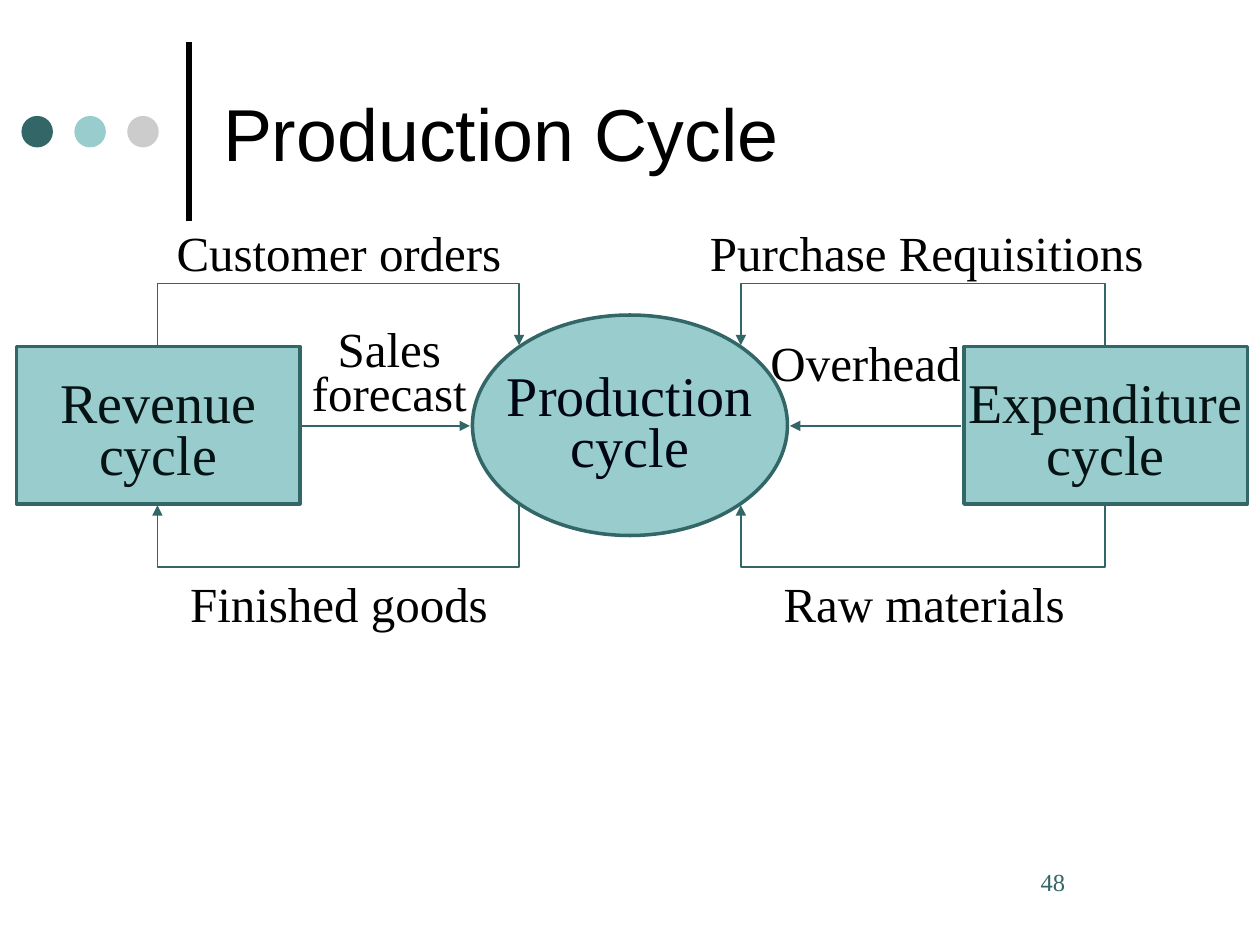
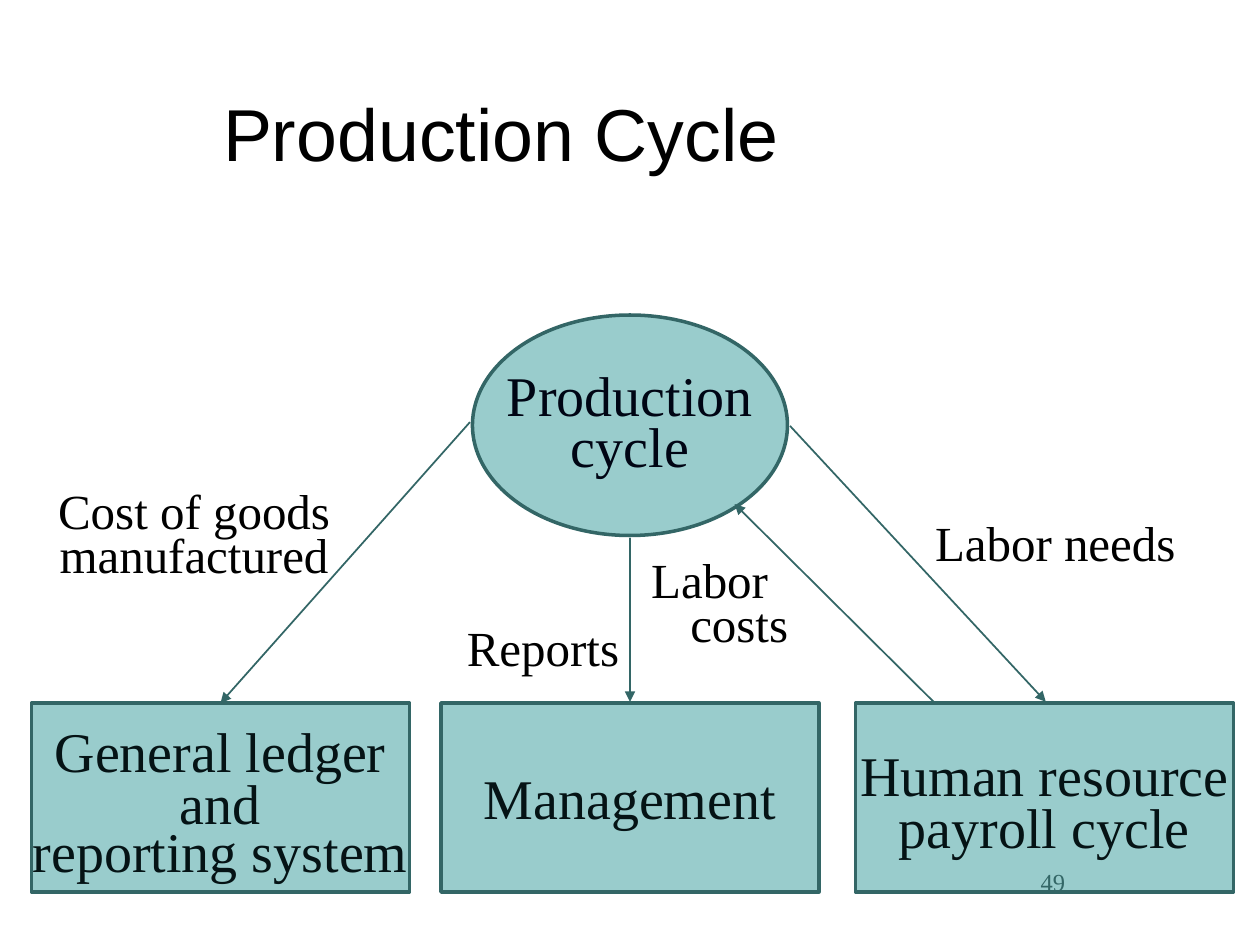
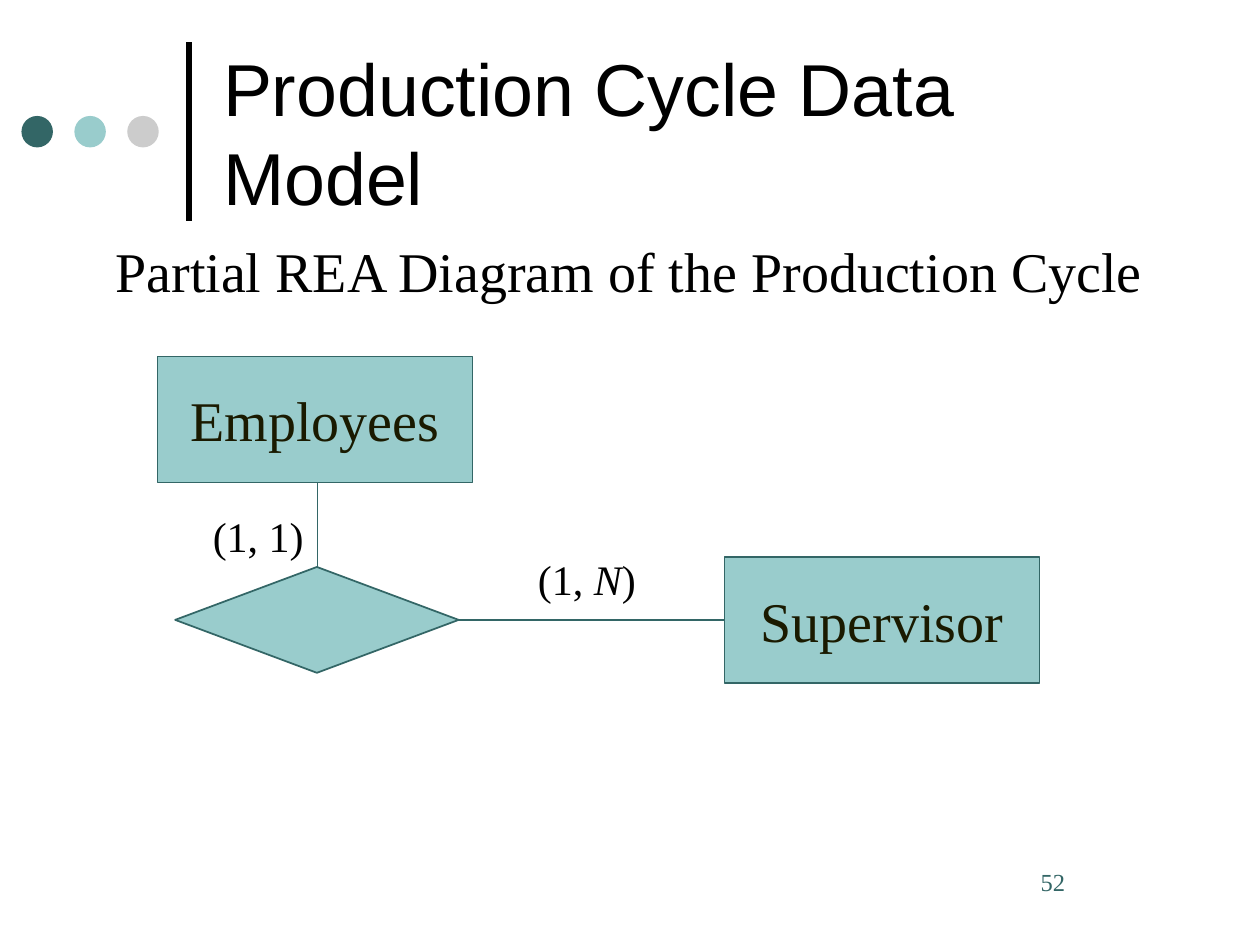
from pptx import Presentation
from pptx.dml.color import RGBColor
from pptx.enum.shapes import MSO_CONNECTOR, MSO_SHAPE
from pptx.enum.text import MSO_ANCHOR, MSO_AUTO_SIZE, PP_ALIGN
from pptx.oxml.ns import qn
from pptx.util import Inches, Pt
from lxml import etree

RECT, OVAL, DIAMOND = MSO_SHAPE.RECTANGLE, MSO_SHAPE.OVAL, MSO_SHAPE.DIAMOND
LEFT, CENTER = PP_ALIGN.LEFT, PP_ALIGN.CENTER
MIDDLE, TOP = MSO_ANCHOR.MIDDLE, MSO_ANCHOR.TOP
FIXED, GROW = MSO_AUTO_SIZE.NONE, MSO_AUTO_SIZE.SHAPE_TO_FIT_TEXT
STRAIGHT = MSO_CONNECTOR.STRAIGHT

TEAL, AQUA, GRAY, BLACK = "336666", "99CCCC", "CCCCCC", "000000"
NODE_INK, HUB_INK, ENTITY_INK = "051315", "000514", "1A1A00"
SERIF, SANS = "Times New Roman", "Arial"
THICK, THIN = 2, 1

HUB = (OVAL, (3.75, 2.5, 2.5, 1.75), THICK, HUB_INK, ["Production", "cycle"])

SLIDES = [
    {
        "title": "Production Cycle", "number": "48", "band": True,
        "nodes": [
            HUB,
            (RECT, (7.65, 2.75, 2.25, 1.25), THICK, NODE_INK, ["Expenditure", "cycle"]),
            (RECT, (0.13, 2.75, 2.25, 1.25), THICK, NODE_INK, ["Revenue", "cycle"]),
        ],
        "labels": [
            ("Sales forecast", (2.09, 2.59, 2, 0.8), 28, {"line_spacing": 0.75}),
            ("Finished goods", (1.15, 4.5, 3.08, 0.56), 28, {}),
            ("Customer orders", (0.94, 1.72, 3.5, 0.56), 28, {}),
            ("Overhead", (5.87, 2.59, 2, 0.56), 28, {}),
            ("Raw materials", (5.92, 4.5, 2.83, 0.56), 28, {}),
            ("Purchase Requisitions", (5.4, 1.72, 3.91, 0.56), 28, {}),
        ],
        "arrows": [
            [(1.25, 2.74), (1.25, 2.25), (4.12, 2.25), (4.12, 2.74)],
            [(8.77, 2.74), (8.77, 2.25), (5.88, 2.25), (5.88, 2.74)],
            [(4.12, 4.01), (4.12, 4.5), (1.25, 4.5), (1.25, 4.01)],
            [(8.77, 4.01), (8.77, 4.5), (5.88, 4.5), (5.88, 4.01)],
            [(2.39, 3.38), (3.73, 3.38)],
            [(7.63, 3.38), (6.27, 3.38)],
        ],
        "links": [],
    },
    {
        "title": "Production Cycle", "number": "49", "band": False,
        "nodes": [
            HUB,
            (RECT, (6.79, 5.58, 3, 1.5), THICK, NODE_INK, ["Human resource", "payroll cycle"]),
            (RECT, (0.25, 5.58, 3, 1.5), THICK, NODE_INK,
             ["General ledger", "and", "reporting system"]),
            (RECT, (3.5, 5.58, 3, 1.5), THICK, NODE_INK, ["Management"]),
        ],
        "labels": [
            ("Reports", (3.48, 4.85, 1.66, 0.56), 28, {}),
            ("Labor needs", (7.17, 4.02, 2.41, 0.56), 28, {}),
            ("Labor\vcosts", (5, 4.42, 1.75, 0.8), 28,
             {"line_spacing": 0.75, "alignment": LEFT, "margin": 0.38, "indent": -0.31}),
            ("Cost of goods manufactured", (0.25, 3.87, 2.58, 0.8), 28, {"line_spacing": 0.75}),
        ],
        "arrows": [
            [(3.73, 3.35), (1.75, 5.58)],
            [(5, 4.27), (5, 5.57)],
            [(6.27, 3.38), (8.3, 5.57)],
            [(7.42, 5.58), (5.83, 4)],
        ],
        "links": [],
    },
    {
        "title": "Production Cycle Data Model", "number": "52", "band": True,
        "nodes": [
            (RECT, (1.25, 2.83, 2.5, 1), THIN, ENTITY_INK, ["Employees"]),
            (RECT, (5.75, 4.42, 2.5, 1), THIN, ENTITY_INK, ["Supervisor"]),
            (DIAMOND, (1.39, 4.5, 2.25, 0.84), THIN, ENTITY_INK, []),
        ],
        "labels": [
            ("Partial REA Diagram of the Production Cycle", (0.58, 1.83, 8.83, 0.63), 32, {}),
            ("(1, |N|)", (4.17, 4.34, 1.08, 0.5), 24, {"alignment": LEFT}),
            ("(1, 1)", (1.59, 4, 1.08, 0.5), 24, {"alignment": LEFT}),
        ],
        "arrows": [],
        "links": [
            [(3.64, 4.92), (5.75, 4.92)],
            [(2.52, 4.5), (2.52, 3.83)],
        ],
    },
]


def color(value):
    """Turn a hex string into a colour."""
    return RGBColor.from_string(value)


def apply(target, values):
    """Set every attribute named in a dict."""
    for name, value in values.items():
        setattr(target, name, value)


def set_frame(box, anchor, wrap, size_rule):
    """Set margins, anchor and wrapping of a text frame."""
    apply(box.text_frame, {
        "margin_left": Inches(0.1), "margin_right": Inches(0.1),
        "margin_top": Inches(0.05), "margin_bottom": Inches(0.05),
        "vertical_anchor": anchor, "word_wrap": wrap, "auto_size": size_rule,
    })


def write(para, text, size, ink, font=SERIF, margin=0, indent=0, **layout):
    """Fill a paragraph; text between bars is italic."""
    apply(para, layout)
    if margin:
        properties = para._p.get_or_add_pPr()
        properties.set("marL", str(Inches(margin)))
        properties.set("indent", str(Inches(indent)))
    for part, words in enumerate(text.split("|")):
        for row, line in enumerate(words.split("\v")):
            if row:
                para.add_line_break()
            span = para.add_run()
            span.text = line
            apply(span.font, {"size": Pt(size), "name": font, "italic": part % 2 == 1})
            span.font.color.rgb = color(ink)


def add_figure(slide, kind, place, fill, weight=0):
    """Draw a filled preset shape, outlined when a weight is given."""
    figure = slide.shapes.add_shape(kind, *map(Inches, place))
    figure.shadow.inherit = False
    figure.fill.solid()
    figure.fill.fore_color.rgb = color(fill)
    if weight:
        figure.line.color.rgb = color(TEAL)
        figure.line.width = Pt(weight)
    else:
        figure.line.fill.background()
    return figure


def add_path(slide, points, ink=TEAL, weight=THIN, arrow=False):
    """Draw a connector, or an open outline when the path bends."""
    spots = [(Inches(x), Inches(y)) for x, y in points]
    if len(spots) == 2:
        path = slide.shapes.add_connector(STRAIGHT, *spots[0], *spots[1])
    else:
        builder = slide.shapes.build_freeform(*spots[0])
        builder.add_line_segments(spots[1:], close=False)
        path = builder.convert_to_shape()
        path.fill.background()
    path.line.color.rgb = color(ink)
    path.line.width = Pt(weight)
    if arrow:
        etree.SubElement(path.line._get_or_add_ln(), qn("a:tailEnd"), type="triangle")
    etree.SubElement(path._element.spPr, qn("a:effectLst"))


def add_node(slide, kind, place, weight, ink, lines):
    """Draw a node with one paragraph per line."""
    node = add_figure(slide, kind, place, AQUA, weight)
    set_frame(node, MIDDLE, False, FIXED)
    frame = node.text_frame
    for row, text in enumerate(lines):
        para = frame.add_paragraph() if row else frame.paragraphs[0]
        first = 0.75 if kind == OVAL else 1.0
        write(para, text, 32, ink, alignment=CENTER, line_spacing=0.5 if row else first,
              space_before=Pt(8 if weight == THICK else 0))


def add_label(slide, text, place, size, layout, ink=BLACK, size_rule=GROW):
    """Place a text box."""
    box = slide.shapes.add_textbox(*map(Inches, place))
    set_frame(box, TOP, True, size_rule)
    write(box.text_frame.paragraphs[0], text, size, ink, **layout)


def add_band(slide):
    """Draw the rule and the row of dots beside the title."""
    add_path(slide, [(1.5, 1.75), (1.5, 0.33)], BLACK, 3)
    for place, fill in enumerate([TEAL, AQUA, GRAY]):
        add_figure(slide, OVAL, (0.17 + 0.42 * place, 0.92, 0.25, 0.25), fill)


def add_title(slide, text):
    """Move and format the title placeholder."""
    title = slide.shapes.title
    apply(title, dict(zip(("left", "top", "width", "height"),
                          map(Inches, (1.67, 0.21, 7.67, 1.67)))))
    set_frame(title, MIDDLE, True, FIXED)
    write(title.text_frame.paragraphs[0], text, 42, BLACK, SANS, alignment=LEFT)


def build(deck, content):
    """Build one slide from its content."""
    slide = deck.slides.add_slide(deck.slide_layouts[5])
    if content["band"]:
        add_band(slide)
    add_title(slide, content["title"])
    for node in content["nodes"]:
        add_node(slide, *node)
    for text, place, size, layout in content["labels"]:
        spacing = {"alignment": CENTER, "space_before": Pt(size * 0.625)}
        add_label(slide, text, place, size, spacing | layout)
    for points in content["arrows"]:
        add_path(slide, points, arrow=True)
    for points in content["links"]:
        add_path(slide, points)
    add_label(slide, content["number"], (7.92, 6.83, 1.42, 0.5), 14,
              {"margin": 0.24}, TEAL, FIXED)


deck = Presentation()
deck.slide_width, deck.slide_height = Inches(10), Inches(7.5)
for content in SLIDES:
    build(deck, content)
deck.save("out.pptx")
